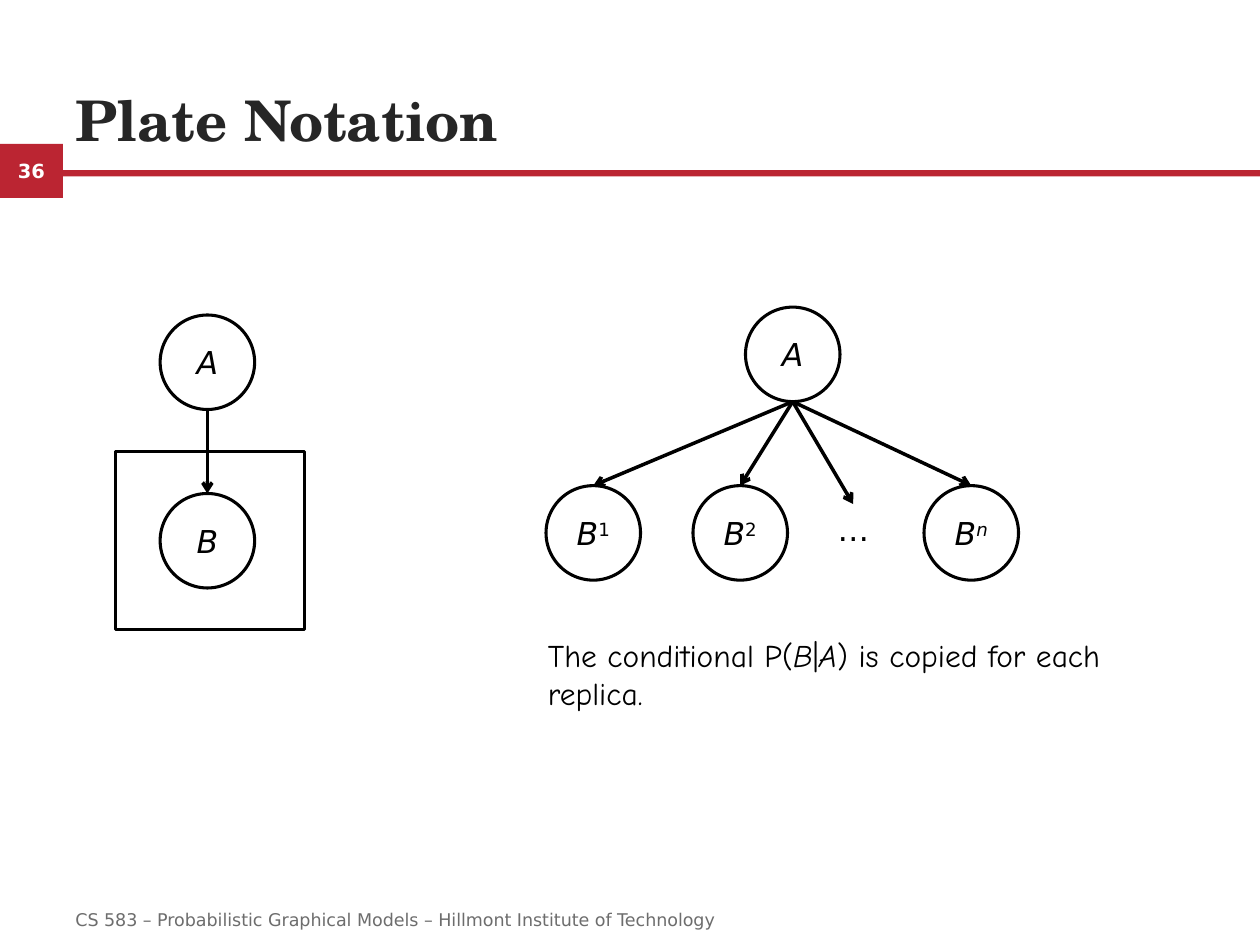
from pptx import Presentation
from pptx import util as u
from pptx.dml.color import RGBColor
from pptx.enum import shapes, text
from pptx.oxml import ns
from lxml import etree

hue = RGBColor.from_string
deck = Presentation()
deck.slide_width, deck.slide_height = u.Inches(10), u.Inches(7.5)
slide = deck.slides.add_slide(deck.slide_layouts[6])
cell = deck.slide_width / 120
kind = shapes.MSO_SHAPE
mid = text.MSO_ANCHOR.MIDDLE
sans = "DejaVu Sans"


def put(form, area, runs=(), size=18, face=sans, ink="000000", bold=False,
        fill=None, edge=None, anchor=mid, wrap=True, pad=0.1):
    spot = [round(n * cell) for n in area]
    if form is None:
        item = slide.shapes.add_textbox(*spot)
    else:
        item = slide.shapes.add_shape(form, *spot)
        item.shadow.inherit = False
        if fill:
            item.fill.solid()
            item.fill.fore_color.rgb = hue(fill)
        else:
            item.fill.background()
        if edge:
            item.line.color.rgb = hue(edge)
            item.line.width = u.Pt(1.75)
        else:
            item.line.fill.background()
    frame = item.text_frame
    frame.word_wrap = wrap
    frame.vertical_anchor = anchor
    frame.margin_left = frame.margin_right = u.Inches(pad)
    para = frame.paragraphs[0]
    para.alignment = text.PP_ALIGN.LEFT if form is None else text.PP_ALIGN.CENTER
    for words, slant, raised in runs:
        run = para.add_run()
        run.text = words
        font = run.font
        font.size, font.name, font.bold, font.italic = u.Pt(size), face, bold, slant
        font.color.rgb = hue(ink)
        if raised:
            run._r.get_or_add_rPr().set("baseline", "30000")


def join(x1, y1, x2, y2):
    ends = [round(n * cell) for n in (x1, y1, x2, y2)]
    link = slide.shapes.add_connector(shapes.MSO_CONNECTOR.STRAIGHT, *ends)
    link.line.color.rgb = hue("000000")
    link.line.width = u.Pt(2)
    etree.SubElement(link.line._get_or_add_ln(), ns.qn("a:tailEnd"), type="arrow")
    etree.SubElement(link._element.spPr, ns.qn("a:effectLst"))


put(kind.RECTANGLE, (0, 13.7, 6, 5.15), [("36", False, False)],
    size=11.1, ink="FFFFFF", bold=True, fill="BB2532")
put(kind.RECTANGLE, (6, 16.2, 114, 0.6), fill="BB2532")
put(None, (6, 4.5, 108, 10.6), [("Plate Notation", False, False)], size=32,
    face="TeX Gyre Schola", ink="262626", bold=True, anchor=text.MSO_ANCHOR.BOTTOM)
put(None, (6, 85.2, 98, 4.8),
    [("CS 583 – Probabilistic Graphical Models – Hillmont Institute of Technology",
      False, False)], size=10, ink="6D6D6D")

node = 9
half = node / 2
low = 46.25
root = (71 + half, 29.25 + node)
nodes = [
    (15.25, 30, [("A", True, False)]),
    (15.25, 47, [("B", True, False)]),
    (71, 29.25, [("A", True, False)]),
    (52, low, [("B", True, False), ("1", False, True)]),
    (66, low, [("B", True, False), ("2", False, True)]),
    (88, low, [("B", True, False), ("n", True, True)]),
]
for x, y, runs in nodes:
    put(kind.OVAL, (x, y, node, node), runs, edge="000000", wrap=False, pad=0)
    if y == low:
        join(*root, x + half, low)

join(15.25 + half, 30 + node, 15.25 + half, 47)
put(kind.RECTANGLE, (11, 43, 18, 17), edge="000000")
join(*root, 81.25, 48)
put(None, (78.6, 48, 5.4, 4.8), [("…", False, False)],
    anchor=text.MSO_ANCHOR.TOP, wrap=False)
put(None, (51, 60, 57, 8.5),
    [("The conditional P(", False, False), ("B", True, False), ("|", False, False),
     ("A", True, False), (") is copied for each replica.", False, False)],
    face="Comic Neue", anchor=text.MSO_ANCHOR.TOP)

deck.save("out.pptx")
